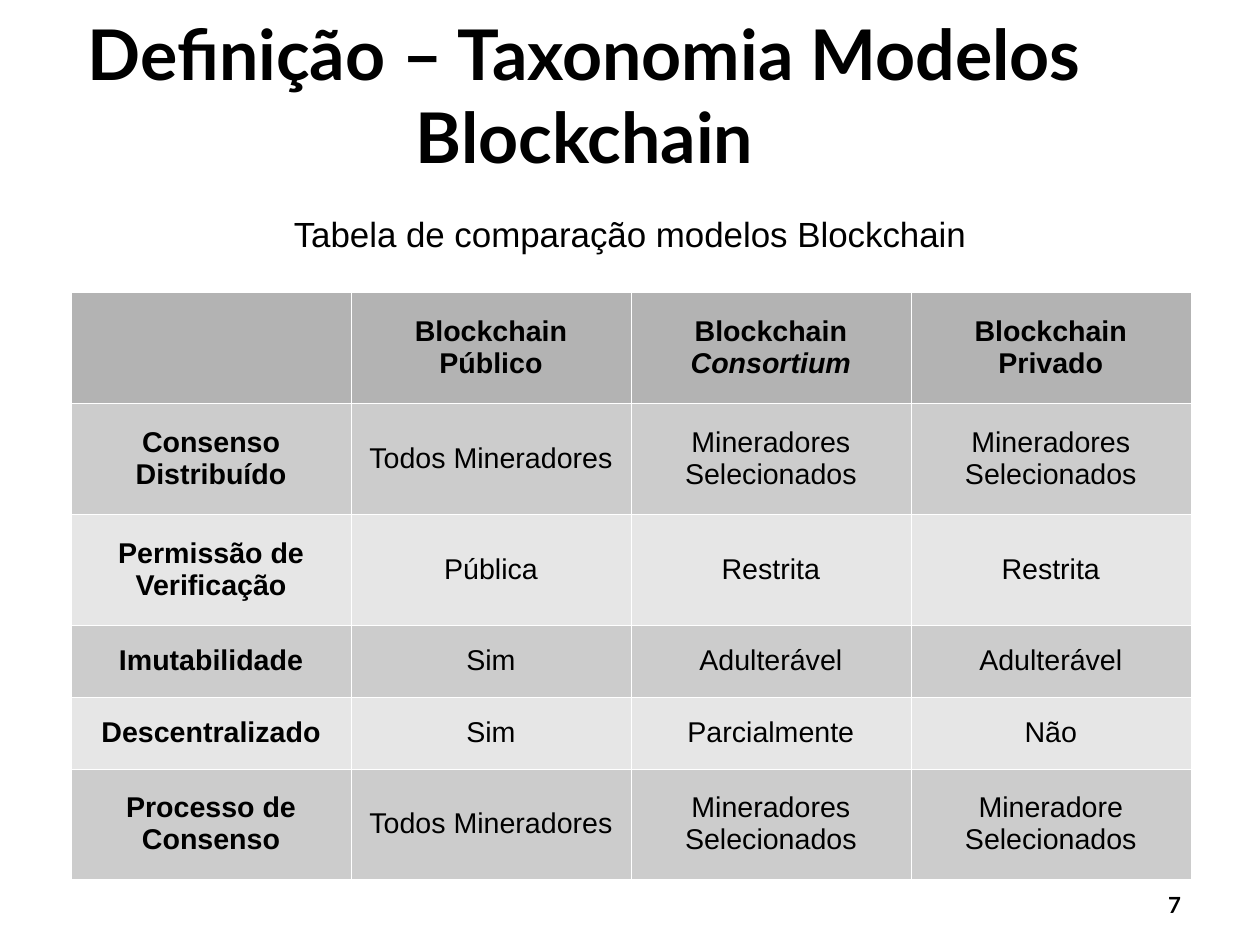
from lxml.etree import SubElement
from pptx import Presentation
from pptx.dml.color import RGBColor
from pptx.enum.text import MSO_ANCHOR as Anchor, MSO_AUTO_SIZE as AutoSize, PP_ALIGN as Align
from pptx.oxml.ns import qn
from pptx.util import Cm, Pt

TITLE = "Definição – Taxonomia Modelos Blockchain"
CAPTION = "Tabela de comparação modelos Blockchain"
PAGE_NUMBER = "7"
HEADERS = ["", "Blockchain Público", ("Blockchain ", "Consortium"), "Blockchain Privado"]
CRITERIA = [
    ["Consenso Distribuído", "Todos Mineradores", "Mineradores Selecionados", "Mineradores Selecionados"],
    ["Permissão de Verificação", "Pública", "Restrita", "Restrita"],
    ["Imutabilidade", "Sim", "Adulterável", "Adulterável"],
    ["Descentralizado", "Sim", "Parcialmente", "Não"],
    ["Processo de Consenso", "Todos Mineradores", "Mineradores Selecionados", "Mineradore Selecionados"],
]
COLORS = {"text": "000000", "border": "FFFFFF", "header": "B3B3B3", "odd": "CCCCCC", "even": "E6E6E6"}
COLUMN_WIDTH = 6.22
TALL_ROW, SHORT_ROW = 2.46, 1.6
SHORT_ROWS = (3, 4)
BORDER_WIDTH = Pt(0.06)


def write(frame, text, size, font="Arial", bold=False):
    """Write centred text; in a tuple, the second part is italic."""
    paragraph = frame.paragraphs[0]
    paragraph.alignment = Align.CENTER
    parts = (text,) if isinstance(text, str) else text
    for index, part in enumerate(parts):
        run = paragraph.add_run()
        run.text = part
        run.font.size = Pt(size)
        run.font.name = font
        run.font.bold = bold
        run.font.italic = index == 1
        run.font.color.rgb = RGBColor.from_string(COLORS["text"])


def set_margins(frame, horizontal, vertical):
    frame.margin_left = frame.margin_right = Cm(horizontal)
    frame.margin_top = frame.margin_bottom = Cm(vertical)


def add_text(slide, box, text, size, margins=(0, 0), **format):
    shape = slide.shapes.add_textbox(*map(Cm, box))
    shape.text_frame.word_wrap = True
    set_margins(shape.text_frame, *margins)
    write(shape.text_frame, text, size, **format)


def set_borders(cell):
    properties = cell._tc.get_or_add_tcPr()
    for position, side in enumerate(("a:lnL", "a:lnR", "a:lnT", "a:lnB")):
        line = SubElement(properties, qn(side), w=str(BORDER_WIDTH))
        fill = SubElement(line, qn("a:solidFill"))
        SubElement(fill, qn("a:srgbClr"), val=COLORS["border"])
        properties.insert(position, line)


def add_comparison(slide, left, top):
    rows = [HEADERS] + CRITERIA
    heights = [SHORT_ROW if index in SHORT_ROWS else TALL_ROW for index in range(len(rows))]
    table = slide.shapes.add_table(
        len(rows), len(HEADERS), Cm(left), Cm(top),
        Cm(COLUMN_WIDTH * len(HEADERS)), Cm(sum(heights))).table
    for column in table.columns:
        column.width = Cm(COLUMN_WIDTH)
    for row_index, texts in enumerate(rows):
        table.rows[row_index].height = Cm(heights[row_index])
        shade = "header" if row_index == 0 else ("even", "odd")[row_index % 2]
        for column_index, text in enumerate(texts):
            cell = table.cell(row_index, column_index)
            cell.fill.solid()
            cell.fill.fore_color.rgb = RGBColor.from_string(COLORS[shade])
            cell.vertical_anchor = Anchor.MIDDLE
            set_margins(cell, 0.25, 0.13)
            set_borders(cell)
            if text:
                write(cell.text_frame, text, 18, bold=row_index == 0 or column_index == 0)


def main():
    presentation = Presentation()
    presentation.slide_width, presentation.slide_height = Cm(28), Cm(21)
    slide = presentation.slides.add_slide(presentation.slide_layouts[5])

    title = slide.shapes.title
    title.left, title.top, title.width, title.height = map(Cm, (1.4, -0.03, 23.19, 4.24))
    frame = title.text_frame
    frame.auto_size = AutoSize.NONE
    frame.word_wrap = True
    frame.vertical_anchor = Anchor.MIDDLE
    set_margins(frame, 0, 0)
    write(frame, TITLE, 44, font="Lato", bold=True)

    add_text(slide, (4.9, 4.6, 18.2, 1.4), CAPTION, 22, margins=(0.25, 0.13))
    add_comparison(slide, 1.58, 6.5)
    add_text(slide, (24.4, 19.8, 3.4, 0.66), PAGE_NUMBER, 14, font="Lato", bold=True)
    presentation.save("out.pptx")


if __name__ == "__main__":
    main()
